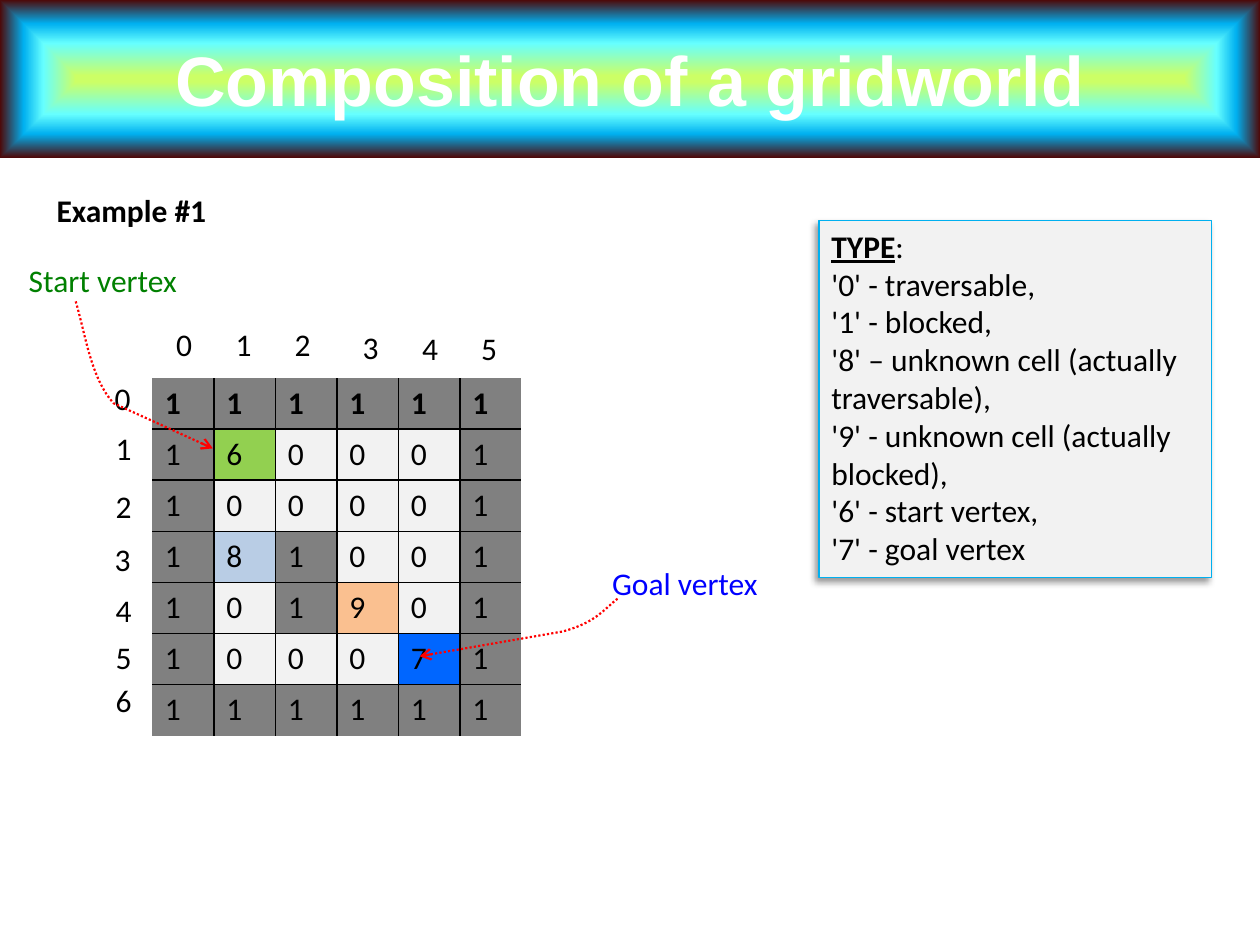
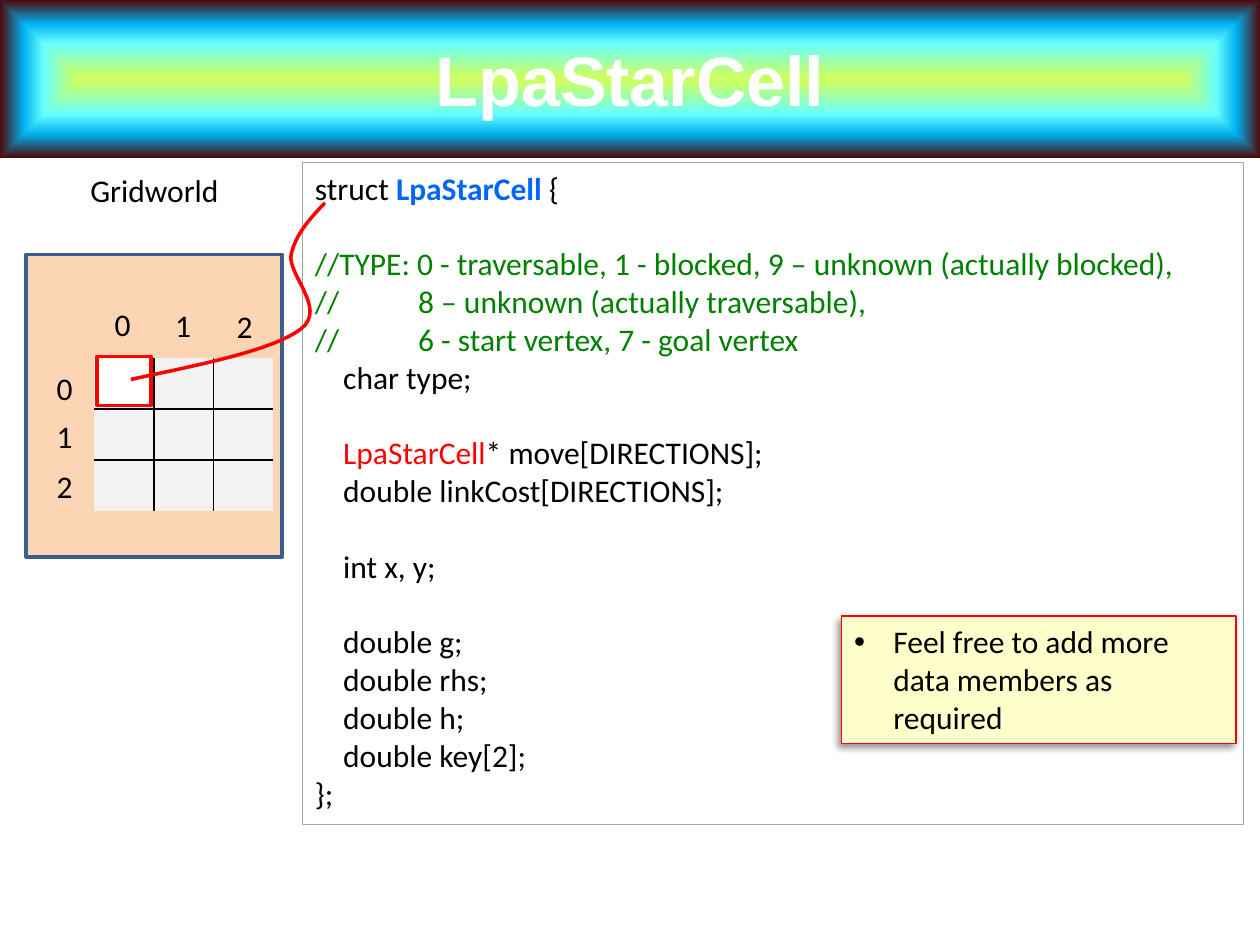
"""Build two slides on a gridworld and the cell structure behind it."""
from lxml import etree
from pptx import Presentation
from pptx import util as u
from pptx.dml.color import RGBColor
from pptx.enum import dml, shapes, text
from pptx.oxml import parse_xml
from pptx.oxml.ns import nsdecls, qn

Cm, Pt = u.Cm, u.Pt


class Theme:
    body, head = "Calibri", "Arial"
    small, big = 18, 40
    black, white, red = "000000", "FFFFFF", "FF0000"
    green, blue, azure = "008000", "0000FF", "0066FF"
    pale, edge, sky = "F2F2F2", "A6A6A6", "00B0F0"
    peach, navy, cream = "FCD5B5", "3A5F8C", "FFFFCC"
    cells = {"0": pale, "1": "808080", "6": "92D050", "7": azure,
             "8": "B9CDE5", "9": "FAC090", " ": pale}
    band = ((4, "CCFF66"), (45, "66FFFF"), (70, sky), (100, "4D0808"))
    plain = "{2D5ABB26-0587-4C30-8999-92F81FD0307C}"


def write(para, words, color=Theme.black, size=Theme.small, font=Theme.body,
          bold=False, under=False, align=text.PP_ALIGN.LEFT):
    run = para.add_run()
    run.text = words
    run.font.size, run.font.name = Pt(size), font
    run.font.bold, run.font.underline = bold, under
    run.font.color.rgb = RGBColor.from_string(color)
    para.alignment = align


def box(page, spot, line, fill=None, width=0.75, shade=False):
    shape = page.shapes.add_shape(shapes.MSO_SHAPE.RECTANGLE, *map(Cm, spot))
    shape.shadow.inherit = False
    if fill:
        shape.fill.solid()
        shape.fill.fore_color.rgb = RGBColor.from_string(fill)
    else:
        shape.fill.background()
    shape.line.color.rgb = RGBColor.from_string(line)
    shape.line.width = Pt(width)
    if shade:
        shape.element.xpath(".//a:effectLst")[0].append(parse_xml(
            f'<a:outerShdw {nsdecls("a")} blurRad="50800" dist="38100" dir="8100000" '
            f'algn="tr" rotWithShape="0"><a:srgbClr val="{Theme.black}">'
            '<a:alpha val="40000"/></a:srgbClr></a:outerShdw>'))
    shape.text_frame.word_wrap = True
    shape.text_frame.vertical_anchor = text.MSO_ANCHOR.TOP
    return shape.text_frame


deck = Presentation()
deck.slide_width, deck.slide_height = Cm(25.4), Cm(19.05)

pages = []
for name in ("Composition of a gridworld", "LpaStarCell"):
    page = deck.slides.add_slide(deck.slide_layouts[5])
    bar = page.shapes.title
    bar.left, bar.top, bar.width, bar.height = map(Cm, (0, 0, 25.4, 3.18))
    bar.fill.gradient()
    grad = bar.element.xpath(".//a:gradFill")[0]
    stops = "".join(f'<a:gs pos="{pos * 1000}"><a:srgbClr val="{hue}"/></a:gs>'
                    for pos, hue in Theme.band)
    grad.getparent().replace(grad, parse_xml(
        f'<a:gradFill {nsdecls("a")} rotWithShape="1"><a:gsLst>{stops}</a:gsLst>'
        '<a:path path="shape"><a:fillToRect l="50000" t="50000" r="50000" b="50000"/>'
        '</a:path></a:gradFill>'))
    frame = bar.text_frame
    frame.auto_size = text.MSO_AUTO_SIZE.NONE
    frame.vertical_anchor = text.MSO_ANCHOR.MIDDLE
    write(frame.paragraphs[0], name, color=Theme.white, size=Theme.big,
          font=Theme.head, bold=True, align=text.PP_ALIGN.CENTER)
    pages.append(page)
world, struct = pages

box(struct, (0.53, 5.13, 5.16, 6.1), Theme.navy, Theme.peach, 2)

grids = (
    (world, 3.07, 7.62, 1.24, ("111111", "160001", "100001", "181001",
                               "101901", "100071", "111111")),
    (struct, 1.9, 7.21, 1.2, ("   ",) * 3),
)
for page, left, top, wide, rows in grids:
    high, count = 1.03, len(rows[0])
    holder = page.shapes.add_table(len(rows), count, Cm(left), Cm(top),
                                   Cm(wide * count), Cm(high * len(rows)))
    holder.element.xpath(".//a:tableStyleId")[0].text = Theme.plain
    grid = holder.table
    for col in grid.columns:
        col.width = Cm(wide)
    for r, row in enumerate(rows):
        grid.rows[r].height = Cm(high)
        for c, mark in enumerate(row):
            cell = grid.cell(r, c)
            props = cell._tc.get_or_add_tcPr()
            sides = (("L", c > 0), ("R", c < count - 1),
                     ("T", r > 0), ("B", r < len(rows) - 1))
            for side, inner in sides:
                if inner:
                    props.append(parse_xml(
                        f'<a:ln{side} {nsdecls("a")} w="12700"><a:solidFill>'
                        f'<a:srgbClr val="{Theme.black}"/></a:solidFill></a:ln{side}>'))
            cell.fill.solid()
            cell.fill.fore_color.rgb = RGBColor.from_string(Theme.cells[mark])
            if mark.strip():
                write(cell.text_frame.paragraphs[0], mark, bold=r == 0)

labels = [
    (world, 0.33, 5.13, 3.53, "Start vertex", {"color": Theme.green}),
    (world, 12.09, 11.25, 3.48, "Goal vertex", {"color": Theme.blue}),
    (world, 0.89, 3.73, 3.56, "Example #1", {"bold": True}),
    (struct, 0.51, 3.33, 5.21, "Gridworld", {"align": text.PP_ALIGN.CENTER}),
]
marks = (
    (world, ((3.3, 6.43), (4.5, 6.43), (5.69, 6.43),
             (7.06, 6.48), (8.26, 6.5), (9.45, 6.5))),
    (world, ((2.06, 7.52), (2.08, 8.53), (2.08, 9.7), (2.06, 10.77),
             (2.08, 11.79), (2.08, 12.73), (2.08, 13.61))),
    (struct, ((2.06, 6.02), (3.28, 6.05), (4.52, 6.07))),
    (struct, ((0.89, 7.32), (0.89, 8.28), (0.89, 9.3))),
)
for page, spots in marks:
    labels += [(page, x, y, 0.84, str(n), {}) for n, (x, y) in enumerate(spots)]
for page, x, y, wide, words, style in labels:
    frame = page.shapes.add_textbox(Cm(x), Cm(y), Cm(wide), Cm(1.02)).text_frame
    frame.word_wrap = "align" in style
    write(frame.paragraphs[0], words, **style)

key = box(world, (16.51, 4.45, 7.92, 7.19), Theme.sky, Theme.pale, shade=True)
write(key.paragraphs[0], "TYPE", bold=True, under=True)
write(key.paragraphs[0], ":")
for line in ("'0' - traversable,", "'1' - blocked,",
             "'8' – unknown cell (actually traversable),",
             "'9' - unknown cell (actually blocked),",
             "'6' - start vertex,", "'7' - goal vertex"):
    write(key.add_paragraph(), line)

code = box(struct, (6.1, 3.28, 18.97, 13.34), Theme.edge)
note = {"color": Theme.green}
lines = (
    (0, 0, (("struct ", {}), ("LpaStarCell ", {"color": Theme.azure, "bold": True}),
            ("{", {}))),
    (1, 0, (("//TYPE: 0 - traversable, 1 - blocked, 9 – unknown (actually blocked),",
             note),)),
    (0, 0, (("//\t8 – unknown (actually traversable),", note),)),
    (0, 0, (("//\t6 - start vertex, 7 - goal vertex", note),)),
    (0, 1, (("char type;", {}),)),
    (1, 1, (("LpaStarCell", {"color": Theme.red}), ("* move[DIRECTIONS];", {}))),
    (0, 1, (("double linkCost[DIRECTIONS];", {}),)),
    (1, 1, (("int x, y;", {}),)),
    (1, 1, (("double g;", {}),)),
    (0, 1, (("double rhs;", {}),)),
    (0, 1, (("double h;", {}),)),
    (0, 1, (("double key[2];", {}),)),
    (0, 0, (("};", {}),)),
)
for n, (gap, level, runs) in enumerate(lines):
    para = code.add_paragraph() if n else code.paragraphs[0]
    para.space_before = Pt(21.6 * gap)
    props = para._p.get_or_add_pPr()
    props.set("marL", str(Cm(0.57 * level)))
    if "\t" in runs[0][0]:
        tabs = etree.SubElement(props, qn("a:tabLst"))
        etree.SubElement(tabs, qn("a:tab"), pos=str(Cm(2.08)), algn="l")
    for words, style in runs:
        write(para, words, **style)

box(struct, (1.96, 7.19, 1.09, 0.99), Theme.red, Theme.white, 2)

hint = box(struct, (16.97, 12.42, 7.95, 2.57), Theme.red, Theme.cream, shade=True)
write(hint.paragraphs[0], "Feel free to add more data members as required")
props = hint.paragraphs[0]._p.get_or_add_pPr()
props.set("marL", str(Cm(0.79)))
props.set("indent", str(-Cm(0.79)))
etree.SubElement(props, qn("a:buFont"), typeface=Theme.head)
etree.SubElement(props, qn("a:buChar"), char="•")

curves = (
    (world, True, (8.46, 13.23), (11.35, 12.73),
     (((12.01, 12.55), (12.17, 12.29), (12.45, 12.07)),)),
    (world, True, (4.29, 9.04), (2.29, 8.13),
     (((1.83, 7.62), (1.73, 6.76), (1.52, 6.05)),)),
    (struct, False, (2.64, 7.65), (2.64, 7.65),
     (((4.09, 7.34), (5.51, 7.06), (6.07, 6.63)),
      ((6.6, 6.22), (5.79, 5.54), (5.87, 5.13)),
      ((5.97, 4.7), (6.27, 4.39), (6.55, 4.09)))),
)
for page, arrow, start, bend, arcs in curves:
    dots = [bend] if arrow else []
    last = bend
    for one, two, end in arcs:
        for step in range(1, 17):
            t = step / 16
            dots.append(tuple(
                (1 - t) ** 3 * a + 3 * t * (1 - t) ** 2 * b
                + 3 * t * t * (1 - t) * c + t ** 3 * d
                for a, b, c, d in zip(last, one, two, end)))
        last = end
    pen = page.shapes.build_freeform(*map(Cm, start))
    pen.add_line_segments([(Cm(x), Cm(y)) for x, y in dots], close=False)
    curve = pen.convert_to_shape()
    curve.shadow.inherit = False
    curve.fill.background()
    curve.line.color.rgb = RGBColor.from_string(Theme.red)
    curve.line.width = Pt(1.25 if arrow else 2)
    if arrow:
        curve.line.dash_style = dml.MSO_LINE.ROUND_DOT
        etree.SubElement(curve.line._get_or_add_ln(), qn("a:headEnd"), type="arrow")

deck.save("out.pptx")
